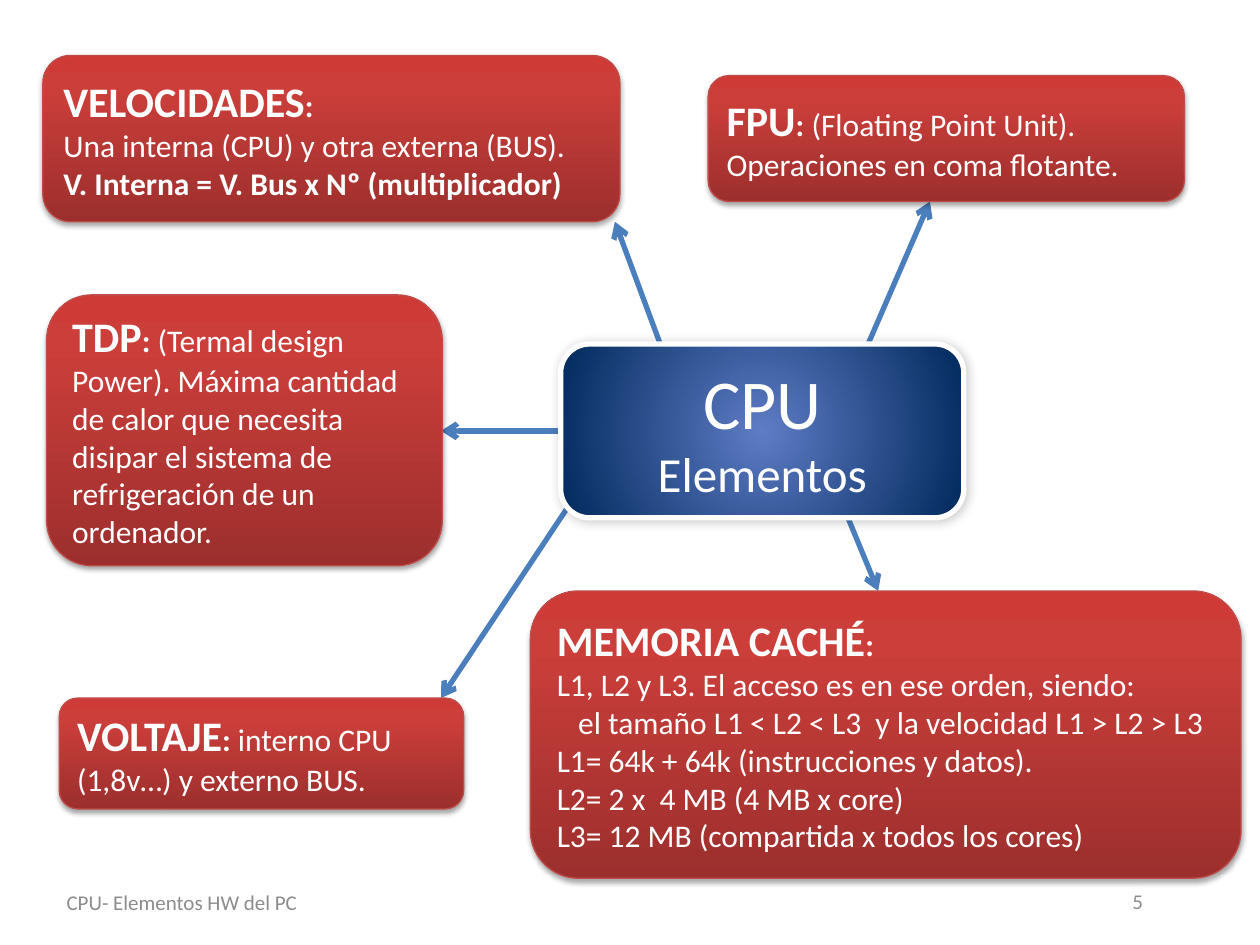
import pptx
import pptx.dml.color
import pptx.enum.shapes
import pptx.enum.text
import pptx.oxml
import pptx.oxml.ns
import pptx.util

ALIGN = pptx.enum.text.PP_ALIGN
SHAPE = pptx.enum.shapes.MSO_SHAPE
RGB = pptx.dml.color.RGBColor.from_string
NS = pptx.oxml.ns.nsdecls("a")

THEME = dict(
    font="Calibri", white="FFFFFF", grey="8C8C8C", arrow="4B7EBC", card_line="BF4C48",
    card_fill=[(0, "9C2F2D"), (80, "CB3E3A"), (100, "CE3B37")],
    hub_fill=[(0, "5E7CC5"), (100, "00295C")],
    card_shadow=(35, 3.1, 1.8, 90), hub_shadow=(20, 6, 1, 45),
    small=12, body=18, head=24, sub=28, title=40, hairline=0.75, thick=3,
)
UPWARD = '<a:lin ang="16200000" scaled="0"/>'
RADIAL = '<a:path path="circle"><a:fillToRect l="50000" t="50000" r="50000" b="50000"/></a:path>'

prs = pptx.Presentation()
prs.slide_width, prs.slide_height = pptx.util.Inches(10), pptx.util.Inches(7.5)
COL, ROW = prs.slide_width / 10, prs.slide_height / 7.5
slide = prs.slides.add_slide(prs.slide_layouts[6])


def add_text(text_or_runs, *, at, paint=None, align=ALIGN.LEFT, color=THEME["white"]):
    """Add paragraphs of (text, size, bold) runs; paint is (stops, direction, line, width, shadow).

    A paragraph starting with a number is indented by that many columns.
    """
    x, y, w, h = [int(v * u) for v, u in zip(at, (COL, ROW, COL, ROW))]
    if paint:
        stops, direction, line, width, (alpha, blur, dist, angle) = paint
        s = slide.shapes.add_shape(SHAPE.ROUNDED_RECTANGLE, x, y, w, h)
        s.fill.background()
        s.line.color.rgb, s.line.width = RGB(line), pptx.util.Pt(width)
        s.shadow.inherit = False
        sp = s._element.spPr
        marks = "".join(f'<a:gs pos="{pos * 1000}"><a:srgbClr val="{c}"/></a:gs>' for pos, c in stops)
        sp.replace(sp.find(pptx.oxml.ns.qn("a:noFill")), pptx.oxml.parse_xml(
            f'<a:gradFill {NS} rotWithShape="1"><a:gsLst>{marks}</a:gsLst>{direction}</a:gradFill>'))
        sp.find(pptx.oxml.ns.qn("a:effectLst")).append(pptx.oxml.parse_xml(
            f'<a:outerShdw {NS} blurRad="{pptx.util.Pt(blur)}" dist="{pptx.util.Pt(dist)}" '
            f'dir="{angle * 60000}" rotWithShape="0"><a:srgbClr val="000000">'
            f'<a:alpha val="{alpha * 1000}"/></a:srgbClr></a:outerShdw>'))
    else:
        s = slide.shapes.add_textbox(x, y, w, h)
    tf = s.text_frame
    tf.word_wrap, tf.vertical_anchor = True, pptx.enum.text.MSO_ANCHOR.MIDDLE
    for i, runs in enumerate(text_or_runs):
        p = tf.paragraphs[0] if i == 0 else tf.add_paragraph()
        p.alignment = align
        if isinstance(runs[0], float):
            p._p.get_or_add_pPr().set("marL", str(int(runs[0] * COL)))
            runs = runs[1:]
        for text, size, bold in runs:
            r = p.add_run()
            r.text = text
            r.font.name, r.font.size, r.font.bold = THEME["font"], pptx.util.Pt(size), bold
            r.font.color.rgb = RGB(color)


# Arrows from the hub to each card
hub_x, hub_y, hub_w, hub_h = hub = (4.45, 2.73, 3.2, 1.38)
hub_bottom = hub_y + hub_h
for x1, y1, x2, y2 in [
    (6.89, hub_y, 7.38, 1.6),
    (5.24, hub_y, 4.88, 1.76),
    (hub_x, hub_y + hub_h / 2, 3.5, hub_y + hub_h / 2),
    (4.53, 3.99, 3.5, 5.54),
    (6.73, hub_bottom, 6.97, 4.69),
]:
    s = slide.shapes.add_connector(pptx.enum.shapes.MSO_CONNECTOR.STRAIGHT,
                                   int(x1 * COL), int(y1 * ROW), int(x2 * COL), int(y2 * ROW))
    s.line.color.rgb, s.line.width = RGB(THEME["arrow"]), pptx.util.Pt(THEME["thick"])
    s.line._get_or_add_ln().append(pptx.oxml.parse_xml(f'<a:tailEnd {NS} type="arrow"/>'))
    s._element.spPr.append(pptx.oxml.parse_xml(f"<a:effectLst {NS}/>"))

# Cards: position, heading, text after the heading, further lines (text, bold, indent)
cards = [
    ((0.34, 0.44, 4.58, 1.32), "VELOCIDADES", "", [
        ("Una interna (CPU) y otra externa (BUS).", False, 0.0),
        ("V. Interna = V. Bus x Nº (multiplicador)", True, 0.0)]),
    ((5.62, 0.6, 3.78, 1), "FPU", "(Floating Point Unit). Operaciones en coma flotante.", []),
    ((4.21, 4.69, 5.64, 2.28), "MEMORIA CACHÉ", "", [
        ("L1, L2 y L3. El acceso es en ese orden, siendo:", False, 0.0),
        ("el tamaño L1 < L2 < L3  y la velocidad L1 > L2 > L3", False, 0.17),
        ("L1= 64k + 64k (instrucciones y datos).", False, 0.0),
        ("L2= 2 x  4 MB (4 MB x core)", False, 0.0),
        ("L3= 12 MB (compartida x todos los cores)", False, 0.0)]),
    ((0.47, 5.54, 3.21, 0.88), "VOLTAJE", "interno CPU (1,8v…) y externo BUS.", []),
    ((0.37, 2.34, 3.14, 2.15), "TDP",
     "(Termal design Power). Máxima cantidad de calor que necesita disipar "
     "el sistema de refrigeración de un ordenador.", []),
]
card_paint = (THEME["card_fill"], UPWARD, THEME["card_line"], THEME["hairline"], THEME["card_shadow"])
for at, heading, rest, lines in cards:
    first = [(heading, THEME["head"], True), (": " if rest else ":", THEME["body"], True)]
    if rest:
        first.append((rest, THEME["body"], False))
    more = [[indent, (text, THEME["body"], bold)] for text, bold, indent in lines]
    add_text([first] + more, at=at, paint=card_paint)

# Central hub
add_text([[("CPU", THEME["title"], False)], [("Elementos", THEME["sub"], False)]], at=hub, align=ALIGN.CENTER,
         paint=(THEME["hub_fill"], RADIAL, THEME["white"], THEME["thick"], THEME["hub_shadow"]))

# Footer and slide number
add_text([[("CPU- Elementos HW del PC", THEME["small"], False)]], at=(0.43, 7.03, 6.15, 0.26), color=THEME["grey"])
add_text([[("5", THEME["small"], False)]], at=(7.17, 6.95, 2.0, 0.4), align=ALIGN.RIGHT, color=THEME["grey"])

prs.save("out.pptx")
